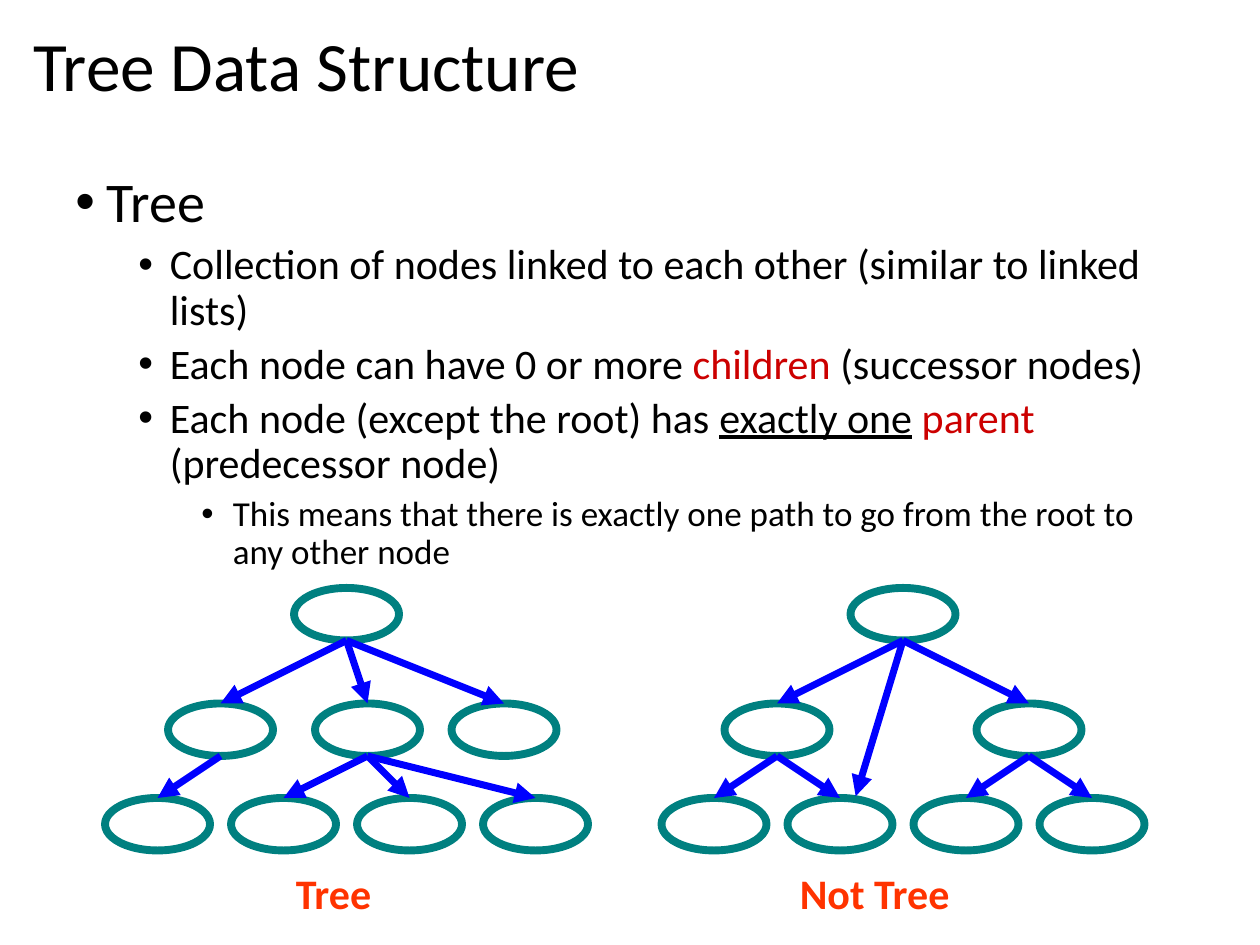
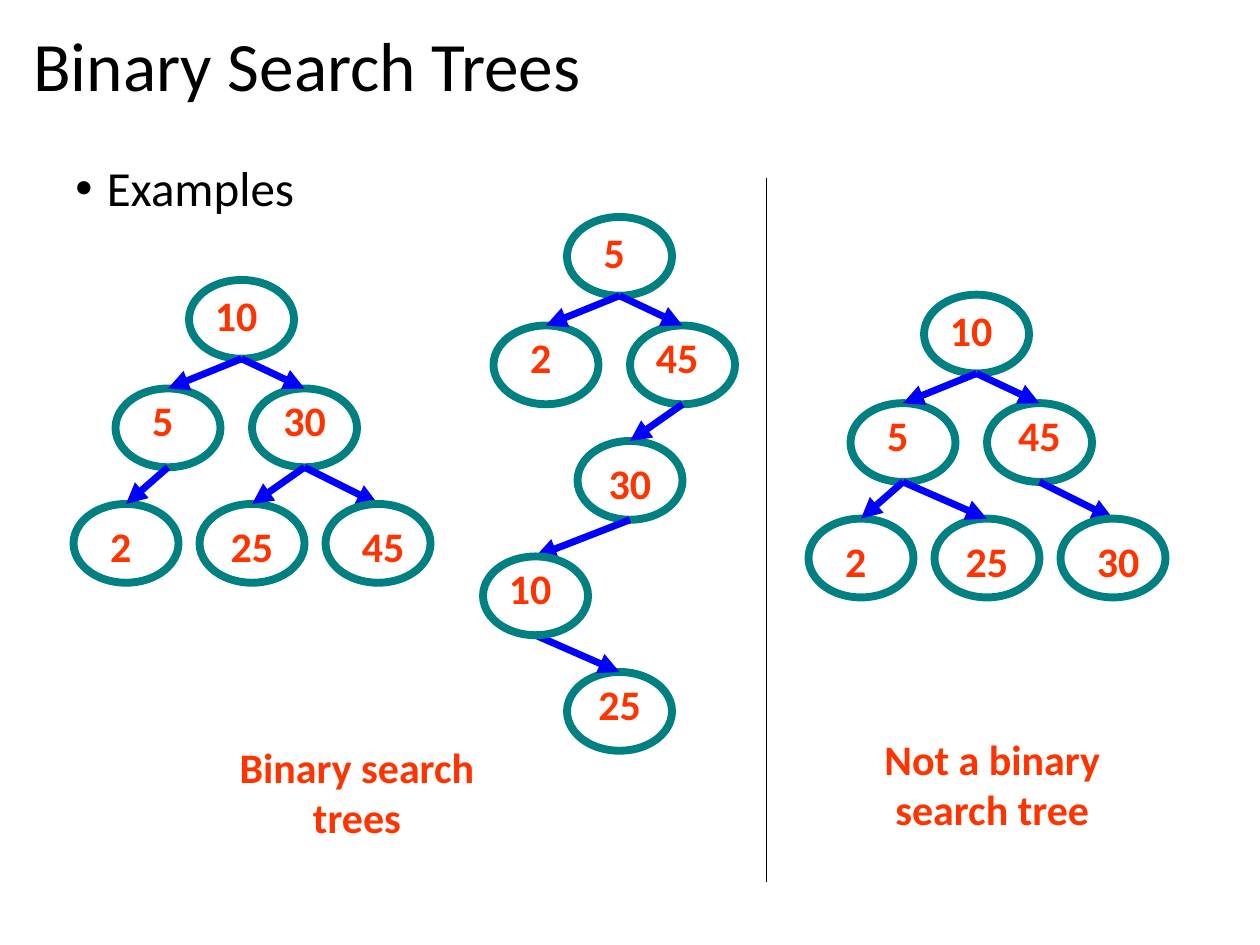
"""Build two slides that introduce trees and binary search trees."""
import pptx
import pptx.dml.color
import pptx.enum.shapes
import pptx.enum.text
import pptx.util
from lxml import etree
from pptx.oxml.ns import qn

Pt = pptx.util.Pt
ALIGN = pptx.enum.text.PP_ALIGN
ANCHOR = pptx.enum.text.MSO_ANCHOR

COLORS = {"text": "000000", "term": "CC0000", "label": "FF3300",
          "node": "008080", "link": "0000FF"}
FONT = "Calibri"
NODE_WIDTH = 60
LABEL_HEIGHT = 36

TREE_POINTS = [
    (0, 32, ["Tree"]),
    (1, 24, ["Collection of nodes linked to each other (similar to linked lists)"]),
    (1, 24, ["Each node can have 0 or more ", ("children ", "term"), "(successor nodes)"]),
    (1, 24, ["Each node (except the root) has ", ("exactly one", "underline"), " ",
             ("parent ", "term"), "(predecessor node)"]),
    (2, 20, ["This means that there is exactly one path to go from the root to any other node"]),
]
EXAMPLE_POINTS = [(0, 28, ["Examples"])]

LEVEL_TOPS = [336, 402, 456]
PLAIN_TREES = [
    {"levels": [[168], [96, 180, 258], [60, 132, 204, 276]],
     "links": [(0, 1), (0, 2), (0, 3), (1, 4), (2, 5), (2, 6), (2, 7)]},
    {"levels": [[486], [414, 558], [378, 450, 522, 594]],
     "links": [(0, 1), (0, 2), (1, 3), (1, 4), (2, 5), (2, 6)]},
]
SECOND_PARENT_LINK = ((516, 366), (489, 455))
PLAIN_CAPTIONS = [("Tree", 162, 66), ("Not Tree", 450, 111)]

# Each search node: left, top, label width, label shift right, label shift down
SIX_NODES = [(108, 160, 42, -3, 2), (66, 222, 30, -3, 0), (144, 222, 48, 0, 0),
             (42, 288, 30, -3, 6), (114, 288, 48, 0, 6), (186, 288, 42, 3, 6)]
CHAIN_NODES = [(324, 124, 30, -3, 2), (282, 186, 30, -3, 0), (360, 186, 42, -3, 0),
               (330, 252, 48, 0, 6), (276, 318, 42, -3, 0), (324, 384, 48, 0, 0)]
SEARCH_TREES = [
    {"keys": [10, 5, 30, 2, 25, 45], "nodes": SIX_NODES, "shift": (0, 0), "front": 5,
     "links": [(0, 1), (0, 2), (1, 3), (2, 4), (2, 5)]},
    {"keys": [10, 5, 45, 2, 25, 30], "nodes": SIX_NODES, "shift": (420, 8.4), "front": 5,
     "links": [(0, 1), (0, 2), (1, 3), (1, 4), (2, 5)]},
    {"keys": [5, 2, 45, 30, 10, 25], "nodes": CHAIN_NODES, "shift": (0, 0), "front": 4,
     "links": [(0, 1), (0, 2), (2, 3), (3, 4), (4, 5)]},
]
SEARCH_CAPTIONS = [("Binary search trees", 120, 420, 168),
                   ("Not a binary search tree", 474, 415.5, 186)]


def rgb(name):
    return pptx.dml.color.RGBColor.from_string(COLORS[name])


def style(paragraph, size, color, bold=False):
    font = paragraph.font
    font.name, font.size, font.bold = FONT, Pt(size), bold
    font.color.rgb = rgb(color)


def add_box(slide, left, top, width, height):
    frame = slide.shapes.add_textbox(Pt(left), Pt(top), Pt(width), Pt(height)).text_frame
    frame.word_wrap = True
    return frame


def add_label(slide, text, left, top, width, height=LABEL_HEIGHT, align=ALIGN.CENTER):
    paragraph = add_box(slide, left, top, width, height).paragraphs[0]
    paragraph.text = text
    paragraph.alignment = align
    style(paragraph, 24, "label", True)


def add_title(slide, text):
    frame = add_box(slide, 12, 13, 693, 53)
    frame.vertical_anchor = ANCHOR.MIDDLE
    paragraph = frame.paragraphs[0]
    paragraph.text = text
    paragraph.line_spacing = 0.9
    style(paragraph, 39.6, "text")


def add_points(slide, points, top):
    frame = add_box(slide, 36, top, 648, 356)
    for index, (level, size, pieces) in enumerate(points):
        paragraph = frame.add_paragraph() if index else frame.paragraphs[0]
        properties = paragraph._p.get_or_add_pPr()
        properties.set("marL", str(Pt(18 + 36 * level)))
        properties.set("indent", str(Pt(-18)))
        etree.SubElement(properties, qn("a:buFont")).set("typeface", "Arial")
        etree.SubElement(properties, qn("a:buChar")).set("char", "•")
        paragraph.line_spacing = 0.9
        if index:
            paragraph.space_before = Pt(5)
        style(paragraph, size, "text")
        for piece in pieces:
            text, look = (piece, None) if isinstance(piece, str) else piece
            run = paragraph.add_run()
            run.text = text
            if look == "underline":
                run.font.underline = True
            elif look:
                run.font.color.rgb = rgb(look)


def add_line(slide, start, end, color, width, arrow=True):
    line = slide.shapes.add_connector(pptx.enum.shapes.MSO_CONNECTOR.STRAIGHT,
                                      *(Pt(value) for value in (*start, *end)))
    line.line.color.rgb = rgb(color)
    line.line.width = Pt(width)
    if arrow:
        etree.SubElement(line.line._get_or_add_ln(), qn("a:tailEnd")).set("type", "triangle")
    etree.SubElement(line._element.spPr, qn("a:effectLst"))


def add_node(slide, left, top, height):
    node = slide.shapes.add_shape(pptx.enum.shapes.MSO_SHAPE.OVAL, Pt(left), Pt(top),
                                  Pt(NODE_WIDTH), Pt(height))
    node.shadow.inherit = False
    node.fill.background()
    node.line.color.rgb = rgb("node")
    node.line.width = Pt(4.5)


def add_tree(slide, places, links, height, front=None):
    for index, place in enumerate(places):
        if index != front:
            add_node(slide, *place, height)
    for parent, child in links:
        (parent_left, parent_top), (child_left, child_top) = places[parent], places[child]
        add_line(slide, (parent_left + NODE_WIDTH / 2, parent_top + height),
                 (child_left + NODE_WIDTH / 2, child_top), "link", 4)
    if front is not None:
        add_node(slide, *places[front], height)


def add_slide(deck, title, points, points_top):
    slide = deck.slides.add_slide(deck.slide_layouts[6])
    add_title(slide, title)
    add_points(slide, points, points_top)
    return slide


def build_tree_slide(deck):
    slide = add_slide(deck, "Tree Data Structure", TREE_POINTS, 96)
    for tree in PLAIN_TREES:
        places = [(left, top) for lefts, top in zip(tree["levels"], LEVEL_TOPS)
                  for left in lefts]
        add_tree(slide, places, tree["links"], 30)
    add_line(slide, *SECOND_PARENT_LINK, "link", 4)
    for text, left, width in PLAIN_CAPTIONS:
        add_label(slide, text, left, 492, width, align=ALIGN.LEFT)


def build_search_slide(deck):
    slide = add_slide(deck, "Binary Search Trees", EXAMPLE_POINTS, 90)
    for tree in SEARCH_TREES:
        right, down = tree["shift"]
        places = [(left + right, top + down) for left, top, *_ in tree["nodes"]]
        add_tree(slide, places, tree["links"], 45, tree["front"])
        for key, (left, top), (*_, width, dx, dy) in zip(tree["keys"], places, tree["nodes"]):
            add_label(slide, str(key), left + (NODE_WIDTH - width) / 2 + dx, top + dy, width)
    for text, left, top, width in SEARCH_CAPTIONS:
        add_label(slide, text, left, top, width, 65)
    add_line(slide, (438, 102), (438, 504), "text", 1, arrow=False)


def main():
    deck = pptx.Presentation()
    deck.slide_width, deck.slide_height = Pt(720), Pt(540)
    build_tree_slide(deck)
    build_search_slide(deck)
    deck.save("out.pptx")


if __name__ == "__main__":
    main()
